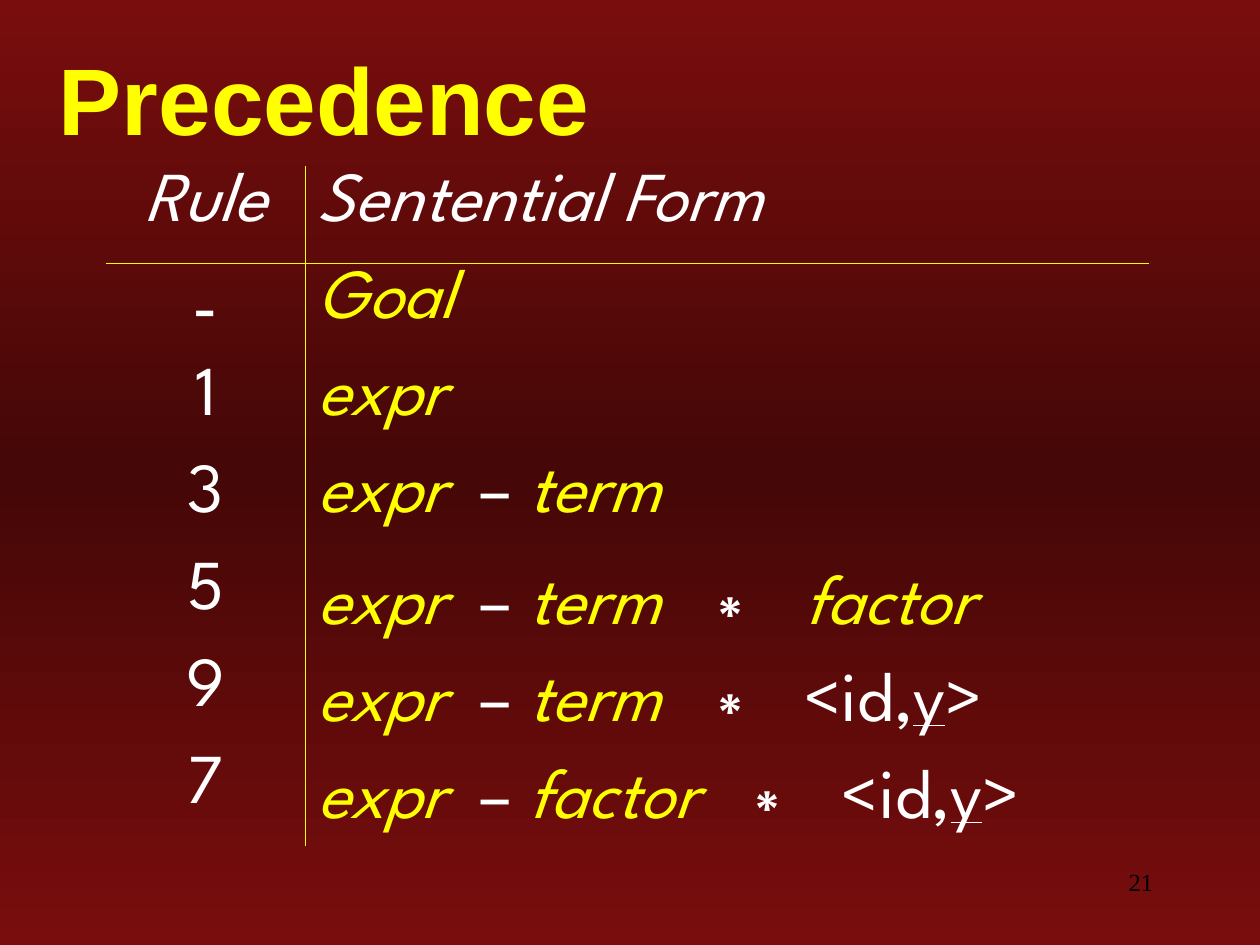
import copy

import pptx
import pptx.dml.color
import pptx.enum.text
import pptx.oxml
import pptx.oxml.ns
import pptx.util
from lxml import etree

Pt = pptx.util.Pt
ALIGN = pptx.enum.text.PP_ALIGN
ANCHOR = pptx.enum.text.MSO_ANCHOR
qn = pptx.oxml.ns.qn

COLORS = {
    "edge": "790D0D",
    "middle": "450707",
    "yellow": "FFFF00",
    "white": "FFFFFF",
    "black": "000000",
}
SPARTAN = {"name": "League Spartan", "size": Pt(40)}
ARIAL = {"name": "Arial", "size": Pt(40)}
STYLES = {
    "title": ("yellow", {"name": "Arial", "size": Pt(54), "bold": True}),
    "head": ("white", {**SPARTAN, "italic": True}),
    "symbol": ("yellow", {**SPARTAN, "italic": True}),
    "plain": ("white", SPARTAN),
    "token": ("white", {**SPARTAN, "underline": True}),
    "operator": ("white", ARIAL),
    "number": ("black", {"name": "Times New Roman", "size": Pt(14)}),
}
TIMES = ("∗  ", "operator")
ID_Y = [("<id,", "plain"), ("y", "token"), (">", "plain")]
MINUS = [("expr  ", "symbol"), ("– ", "plain")]
DERIVATION = [
    (("Rule", "head"), [("Sentential Form", "head")]),
    (("-", "operator"), [("Goal", "symbol")]),
    (("1", "plain"), [("expr", "symbol")]),
    (("3", "plain"), MINUS + [("term", "symbol")]),
    (("5", "plain"), MINUS + [("term  ", "symbol"), TIMES, ("factor", "symbol")]),
    (("9", "plain"), MINUS + [("term  ", "symbol"), TIMES] + ID_Y),
    (("7", "plain"), MINUS + [("factor  ", "symbol"), TIMES] + ID_Y),
]


def rgb(color):
    """Return the named colour."""
    return pptx.dml.color.RGBColor.from_string(COLORS[color])


def write(paragraph, pieces, alignment=ALIGN.LEFT):
    """Add styled pieces of text to a paragraph."""
    paragraph.alignment = alignment
    for text, style in pieces:
        run = paragraph.add_run()
        run.text = text
        color, formats = STYLES[style]
        for attribute, value in formats.items():
            setattr(run.font, attribute, value)
        run.font.color.rgb = rgb(color)


def paint_background(slide):
    """Fill the slide with a vertical gradient that is darkest halfway."""
    fill = slide.background.fill
    fill.gradient()
    fill.gradient_angle = 90
    stop_list = slide.element.find(".//" + qn("a:gsLst"))
    stop_list.append(copy.deepcopy(stop_list[0]))
    bands = [(0, "edge"), (0.5, "middle"), (1, "edge")]
    for stop, (position, color) in zip(fill.gradient_stops, bands):
        stop.position = position
        stop.color.rgb = rgb(color)


def add_label(slide, box, text, style, alignment, anchor):
    """Place one line of text in a box and return its paragraph."""
    frame = slide.shapes.add_textbox(*map(Pt, box)).text_frame
    frame.word_wrap = True
    frame.vertical_anchor = anchor
    write(frame.paragraphs[0], [(text, style)], alignment)
    return frame.paragraphs[0]


def add_title(slide, box, text):
    """Place the title with a soft text shadow."""
    title = add_label(slide, box, text, "title", ALIGN.LEFT, ANCHOR.MIDDLE)
    effects = pptx.oxml.parse_xml(
        f'<a:effectLst {pptx.oxml.ns.nsdecls("a")}>'
        '<a:outerShdw dist="17961" dir="2700000">'
        f'<a:srgbClr val="{COLORS["white"]}"/></a:outerShdw></a:effectLst>'
    )
    title.runs[0].font._element.find(qn("a:solidFill")).addnext(effects)


def rule_cell(cell, sides):
    """Draw hairlines on the given sides of a cell and clear the others."""
    properties = cell._tc.get_or_add_tcPr()
    for side in "LRTB":
        line = etree.SubElement(properties, qn(f"a:ln{side}"), w=str(Pt(0.45)))
        if side in sides:
            fill = etree.SubElement(line, qn("a:solidFill"))
            etree.SubElement(fill, qn("a:srgbClr"), val=COLORS["yellow"])
        else:
            etree.SubElement(line, qn("a:noFill"))
    cell.fill.background()


def add_derivation(slide, box, rule_width):
    """Place the table of rules and sentential forms."""
    left, top, width, height = map(Pt, box)
    table = slide.shapes.add_table(
        len(DERIVATION), 2, left, top, width, height
    ).table
    table.first_row = table.horz_banding = False
    table.columns[0].width = Pt(rule_width)
    table.columns[1].width = width - Pt(rule_width)
    for index, (rule, form) in enumerate(DERIVATION):
        below = "B" if index == 0 else ""
        above = "T" if index == 1 else ""
        rule_cell(table.cell(index, 0), "R" + above + below)
        rule_cell(table.cell(index, 1), "L" + above + below)
        rule_text, form_text = (
            table.cell(index, column).text_frame.paragraphs[0] for column in (0, 1)
        )
        write(rule_text, [rule], ALIGN.CENTER)
        write(form_text, form)


def main():
    """Build the slide and save it."""
    deck = pptx.Presentation()
    deck.slide_width, deck.slide_height = Pt(720), Pt(540)
    slide = deck.slides.add_slide(deck.slide_layouts[6])
    paint_background(slide)
    add_title(slide, (26.5, 26, 693.5, 60), "Precedence")
    add_derivation(slide, (60.5, 95, 596, 388.5), 114)
    add_label(slide, (516, 492, 150, 36), "21", "number", ALIGN.RIGHT, ANCHOR.TOP)
    deck.save("out.pptx")


if __name__ == "__main__":
    main()
